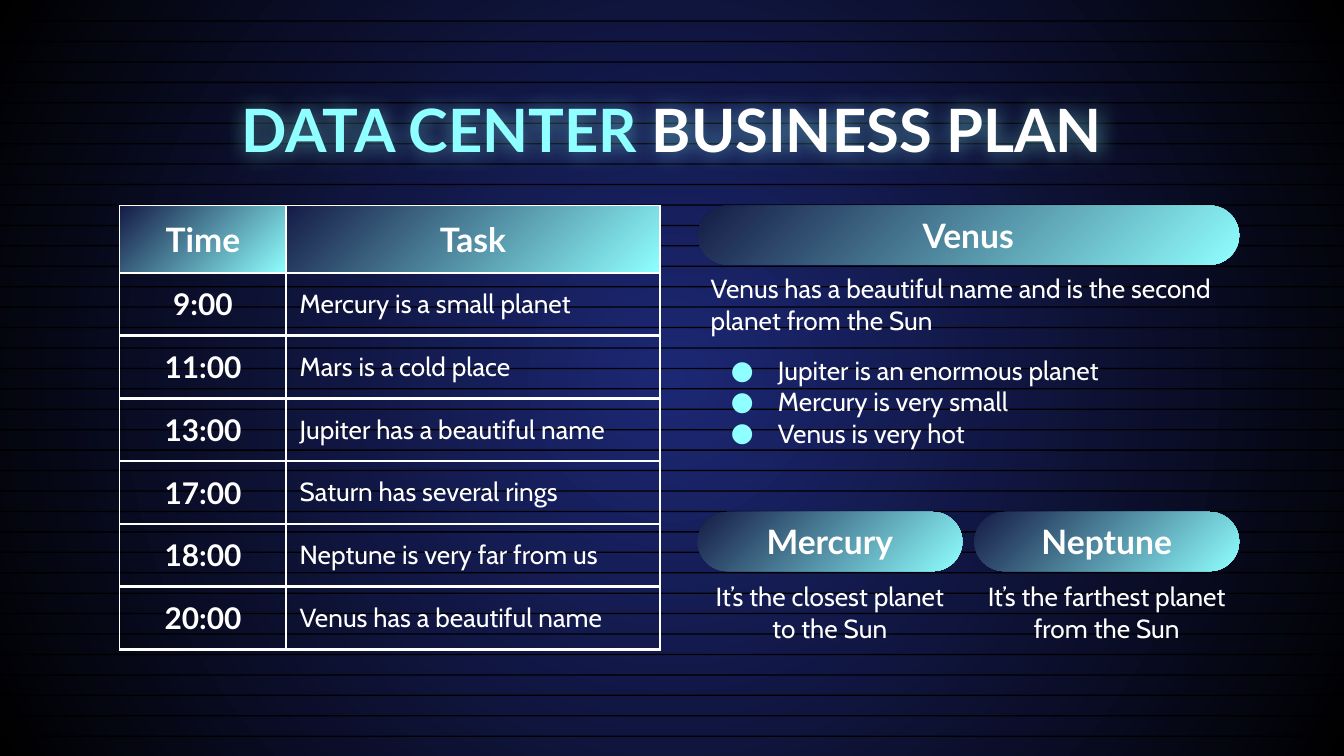
from dataclasses import dataclass

from pptx import Presentation
from pptx import util as u
from pptx.dml import color
from pptx.enum import shapes, text
from pptx.oxml import ns, parse_xml


@dataclass(frozen=True)
class Theme:
    white: str = "FFFFFF"
    cyan: str = "8FFFFF"
    navy: str = "151B46"
    blue: str = "1D2875"
    black: str = "000000"
    heading: str = "Lato"
    body: str = "Cabin"
    title_size: int = 32
    header_size: int = 18
    time_size: int = 16
    body_size: int = 14


THEME = Theme()
TITLE_FORMAT = {"name": THEME.heading, "size": u.Pt(THEME.title_size), "bold": True}
HEADER_FORMAT = {**TITLE_FORMAT, "size": u.Pt(THEME.header_size)}
TIME_FORMAT = {**TITLE_FORMAT, "size": u.Pt(THEME.time_size)}
BODY_FORMAT = {"name": THEME.body, "size": u.Pt(THEME.body_size), "bold": False}
MARGINS = {f"margin_{side}": u.Inches(0.1) for side in ("left", "top", "right", "bottom")}
CENTER = text.PP_ALIGN.CENTER
LEFT = text.PP_ALIGN.LEFT
MIDDLE = text.MSO_ANCHOR.MIDDLE


def apply(target, values):
    for name, value in values.items():
        setattr(target, name, value)


def inches(box):
    return [u.Inches(length) for length in box]


def rgb(value):
    return color.RGBColor.from_string(value)


def element(tag, content="", attributes=""):
    return parse_xml(f'<a:{tag} {ns.nsdecls("a")} {attributes}>{content}</a:{tag}>')


def set_gradient(fill, start, end):
    fill.gradient()
    for stop, value, position in zip(fill.gradient_stops, (start, end), (0, 1)):
        stop.color.rgb = rgb(value)
        stop.position = position


def fill_header(fill):
    set_gradient(fill, THEME.navy, THEME.cyan)
    fill.gradient_angle = 315


def write(paragraph, words, font_format, alignment=LEFT, ink=THEME.white):
    paragraph.alignment = alignment
    run = paragraph.add_run()
    run.text = words
    apply(run.font, font_format)
    run.font.color.rgb = rgb(ink)


def add_text_box(slide, box):
    shape = slide.shapes.add_textbox(*inches(box))
    apply(shape.text_frame, {**MARGINS, "word_wrap": True})
    return shape


def add_background(slide, box, count=36):
    left, top, width, height = box
    pitch = height / (count + 1)
    set_gradient(slide.background.fill, THEME.blue, THEME.black)
    gradient = slide.element.find(".//" + ns.qn("a:gradFill"))
    rectangle = '<a:fillToRect l="50000" t="50000" r="50000" b="50000"/>'
    gradient.replace(gradient.find(ns.qn("a:lin")), element("path", rectangle, 'path="circle"'))
    group = slide.shapes.add_group_shape()
    for index in range(1, count + 1):
        stripe_box = inches((left, top + index * pitch, width, 0.01))
        stripe = group.shapes.add_shape(shapes.MSO_SHAPE.RECTANGLE, *stripe_box)
        stripe.shadow.inherit = False
        stripe.fill.solid()
        stripe.fill.fore_color.rgb = rgb(THEME.black)
        stripe.line.fill.background()


def add_title(slide, box):
    shape = add_text_box(slide, box)
    paragraph = shape.text_frame.paragraphs[0]
    write(paragraph, "DATA CENTER ", TITLE_FORMAT, CENTER, THEME.cyan)
    write(paragraph, "BUSINESS PLAN", TITLE_FORMAT, CENTER)
    glow = f'<a:srgbClr val="{THEME.cyan}"><a:alpha val="50000"/></a:srgbClr>'
    shadow = f'<a:outerShdw blurRad="{u.Pt(11)}" dist="0" algn="bl" rotWithShape="0">{glow}</a:outerShdw>'
    shape.element.spPr.append(element("effectLst", shadow))


def set_borders(cell, widths):
    properties = cell._tc.get_or_add_tcPr()
    ink = f'<a:solidFill><a:srgbClr val="{THEME.white}"/></a:solidFill>'
    for index, (side, width) in enumerate(widths.items()):
        properties.insert(index, element(f"ln{side}", ink, f'w="{u.Pt(width)}"'))


def add_schedule(slide, box, rows):
    table = slide.shapes.add_table(len(rows), 2, *inches(box)).table
    width, height = box[2:]
    header_height = 0.5
    row_height = (height - header_height) / (len(rows) - 1)
    for column, column_width in zip(table.columns, (1.24, width - 1.24)):
        column.width = u.Inches(column_width)
    for row_index, values in enumerate(rows):
        is_header = row_index == 0
        table.rows[row_index].height = u.Inches(header_height if is_header else row_height)
        for column_index, words in enumerate(values):
            is_time = column_index == 0
            cell = table.cell(row_index, column_index)
            apply(cell, {**MARGINS, "vertical_anchor": MIDDLE})
            if is_header:
                fill_header(cell.fill)
                font_format = HEADER_FORMAT
            else:
                cell.fill.background()
                font_format = TIME_FORMAT if is_time else BODY_FORMAT
            alignment = CENTER if is_header or is_time else LEFT
            write(cell.text_frame.paragraphs[0], words, font_format, alignment)
            set_borders(cell, {"L": 0.75 if is_time else 1.5, "R": 1.5,
                               "T": 0.75 if is_header else 1.5, "B": 1.5})


def add_bullet(paragraph):
    properties = paragraph._p.get_or_add_pPr()
    properties.set("marL", str(u.Inches(0.5)))
    properties.set("indent", str(u.Inches(-0.35)))
    properties.append(element("buClr", f'<a:srgbClr val="{THEME.cyan}"/>'))
    properties.append(element("buFont", attributes=f'typeface="{THEME.body}"'))
    properties.append(element("buChar", attributes='char="●"'))


def add_card(slide, box, heading, description, alignment=CENTER, bullets=(), offset=0.41):
    left, top, width, height = box
    pill = slide.shapes.add_shape(
        shapes.MSO_SHAPE.ROUNDED_RECTANGLE, *inches((left, top, width, 0.44)))
    pill.adjustments[0] = 0.5
    pill.shadow.inherit = False
    fill_header(pill.fill)
    pill.line.fill.background()
    apply(pill.text_frame, {**MARGINS, "word_wrap": True, "vertical_anchor": MIDDLE})
    write(pill.text_frame.paragraphs[0], heading, HEADER_FORMAT, CENTER)

    text_box = add_text_box(slide, (left, top + offset, width, height - offset))
    text_frame = text_box.text_frame
    write(text_frame.paragraphs[0], description, BODY_FORMAT, alignment)
    for index, words in enumerate(bullets):
        paragraph = text_frame.add_paragraph()
        add_bullet(paragraph)
        paragraph.space_before = u.Pt(0 if index else 10)
        write(paragraph, words, BODY_FORMAT, alignment)


def main():
    presentation = Presentation()
    width, height = 10, 10 * 9 / 16
    presentation.slide_width, presentation.slide_height = inches((width, height))
    slide = presentation.slides.add_slide(presentation.slide_layouts[6])
    add_background(slide, (0, 0, width, height))
    add_title(slide, (0.78, 0.59, 8.44, 0.62))
    add_schedule(slide, (0.89, 1.53, 4.02, 3.3), [
        ("Time", "Task"),
        ("9:00", "Mercury is a small planet"),
        ("11:00", "Mars is a cold place"),
        ("13:00", "Jupiter has a beautiful name"),
        ("17:00", "Saturn has several rings"),
        ("18:00", "Neptune is very far from us"),
        ("20:00", "Venus has a beautiful name"),
    ])
    add_card(slide, (5.19, 1.53, 4.03, 1.93), "Venus",
             "Venus has a beautiful name and is the second planet from the Sun", LEFT,
             ("Jupiter is an enormous planet", "Mercury is very small", "Venus is very hot"),
             offset=0.4)
    add_card(slide, (7.25, 3.81, 1.97, 1.02), "Neptune", "It’s the farthest planet from the Sun")
    add_card(slide, (5.19, 3.81, 1.97, 1.02), "Mercury", "It’s the closest planet to the Sun")
    presentation.save("out.pptx")


if __name__ == "__main__":
    main()
